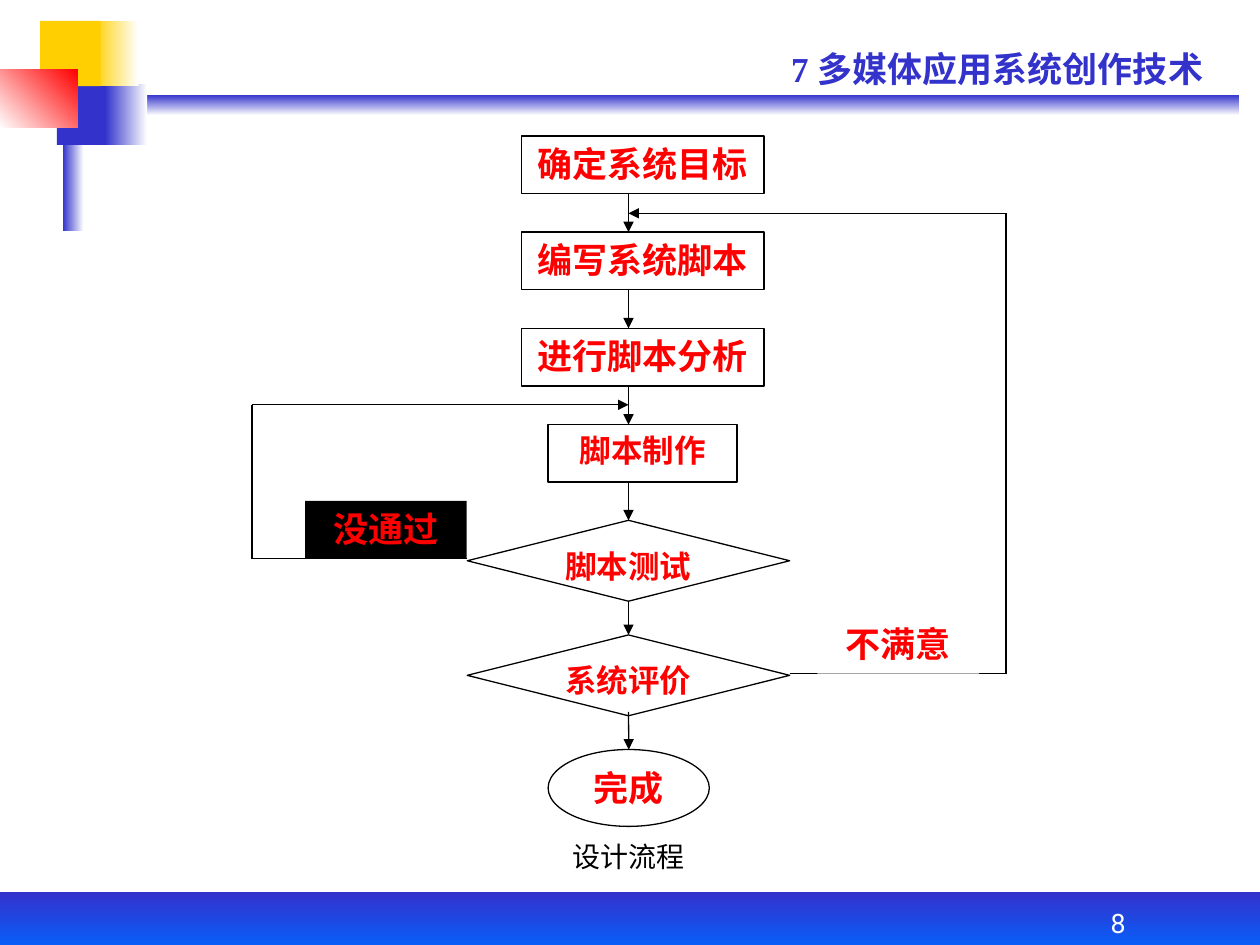
from lxml.etree import SubElement
from pptx import Presentation
from pptx.dml.color import RGBColor
from pptx.enum.shapes import MSO_CONNECTOR, MSO_SHAPE
from pptx.enum.text import MSO_ANCHOR, PP_ALIGN
from pptx.oxml.ns import qn
from pptx.util import Cm, Pt

BLUE = RGBColor(0x33, 0x33, 0xCC)
BRIGHT_BLUE = RGBColor(0x00, 0x66, 0xFF)
YELLOW = RGBColor(0xFF, 0xCF, 0x01)
RED = RGBColor(0xFF, 0x00, 0x00)
WHITE = RGBColor(0xFF, 0xFF, 0xFF)
BLACK = RGBColor(0x00, 0x00, 0x00)
CJK_FONT = "Noto Sans CJK SC"


def write_text(box, text, size, color, font=CJK_FONT, bold=True,
               align=PP_ALIGN.CENTER, anchor=MSO_ANCHOR.TOP):
    frame = box.text_frame
    frame.word_wrap = True
    frame.vertical_anchor = anchor
    paragraph = frame.paragraphs[0]
    paragraph.text = text
    paragraph.alignment = align
    paragraph.font.name = font
    paragraph.font.size = Pt(size)
    paragraph.font.bold = bold
    paragraph.font.color.rgb = color
    # East Asian characters take their own typeface
    properties = paragraph.font._element
    SubElement(properties, qn("a:ea")).set("typeface", CJK_FONT)


def add_line(x1, y1, x2, y2, arrow=False):
    line = page.shapes.add_connector(
        MSO_CONNECTOR.STRAIGHT, Cm(x1), Cm(y1), Cm(x2), Cm(y2))
    line.line.color.rgb = BLACK
    line.line.width = Pt(0.75)
    if arrow:
        SubElement(line.line._get_or_add_ln(), qn("a:tailEnd")).set("type", "triangle")
    SubElement(line._element.spPr, qn("a:effectLst"))
    return line


deck = Presentation()
deck.slide_width, deck.slide_height = Cm(25.4), Cm(19.05)
page = deck.slides.add_slide(deck.slide_layouts[6])

# Decoration: left, top, width, height, colours, clockwise gradient angle
decorations = [
    (1.47, 1.91, 23.5, 0.42, (BLUE, WHITE), 90),
    (2.12, 1.69, 0.85, 1.23, (BLUE, WHITE), 0),
    (0, 17.99, 25.4, 1.27, (BLUE, BRIGHT_BLUE), 90),
    (1.27, 1.48, 0.42, 3.18, (BLUE, WHITE), 0),
    (1.15, 1.69, 0.97, 1.23, (BLUE,), 0),
    (1.88, 0.42, 0.91, 1.32, (YELLOW, WHITE), 0),
    (0.81, 0.42, 1.22, 1.32, (YELLOW,), 0),
    (0, 1.4, 1.56, 1.18, (WHITE, RED), 315),
]
for left, top, width, height, colors, angle in decorations:
    block = page.shapes.add_shape(
        MSO_SHAPE.RECTANGLE, Cm(left), Cm(top), Cm(width), Cm(height))
    block.shadow.inherit = False
    block.line.fill.background()
    if len(colors) == 1:
        block.fill.solid()
        block.fill.fore_color.rgb = colors[0]
    else:
        block.fill.gradient()
        block.fill.gradient_angle = (360 - angle) % 360
        for stop, color in zip(block.fill.gradient_stops, colors):
            stop.color.rgb = color

# Chapter title and page number
title = page.shapes.add_textbox(Cm(15.7), Cm(0.84), Cm(9.07), Cm(1.12))
write_text(title, "7 多媒体应用系统创作技术", 20, BLUE,
           font="Times New Roman", align=PP_ALIGN.LEFT)
number = page.shapes.add_textbox(Cm(20.53), Cm(17.99), Cm(4.02), Cm(1.06))
write_text(number, "8", 15.3, WHITE, font="Roboto", bold=False,
           anchor=MSO_ANCHOR.BOTTOM)

# Flow steps: shape, left, top, width, height, text, size
AXIS = 12.67
PROCESS, DECISION = MSO_SHAPE.FLOWCHART_PROCESS, MSO_SHAPE.FLOWCHART_DECISION
steps = [
    (PROCESS, 10.52, 2.74, 4.88, 1.16, "确定系统目标", 20),
    (PROCESS, 10.52, 4.68, 4.88, 1.16, "编写系统脚本", 20),
    (PROCESS, 10.52, 6.62, 4.88, 1.16, "进行脚本分析", 20),
    (PROCESS, 11.05, 8.56, 3.81, 1.16, "脚本制作", 18),
    (DECISION, 9.42, 10.49, 6.5, 1.63, "脚本测试", 18),
    (DECISION, 9.42, 12.8, 6.5, 1.63, "系统评价", 18),
    (MSO_SHAPE.OVAL, 11.05, 15.11, 3.25, 1.55, "完成", 20),
]
boxes = []
for kind, left, top, width, height, text, size in steps:
    box = page.shapes.add_shape(kind, Cm(left), Cm(top), Cm(width), Cm(height))
    box.shadow.inherit = False
    box.fill.solid()
    box.fill.fore_color.rgb = WHITE
    box.line.color.rgb = BLACK
    box.line.width = Pt(0.75)
    write_text(box, text, size, RED)
    boxes.append(box)

# Arrows down the axis; the lower shapes are centred on it
arrow_starts = [3.9, 5.84, 7.78, 9.72, 12.12, 14.35]
for index, start in enumerate(arrow_starts, 1):
    arrow = add_line(AXIS, start, AXIS, steps[index][2], arrow=True)
    if index >= 4:
        arrow.end_connect(boxes[index], 0)
    if index == 5:
        arrow.begin_connect(boxes[4], 2)

# Return loops: decision side, outer edge, decision height, re-entry height
for side, edge, low, high in [(9.42, 5.08, 11.26, 8.16), (15.92, 20.28, 13.58, 4.3)]:
    add_line(side, low, edge, low)
    add_line(edge, low, edge, high)
    add_line(edge, high, AXIS, high, arrow=True)

# Loop labels
for left, top, text, color in [(6.15, 10.1, "没通过", BLACK), (16.48, 12.42, "不满意", WHITE)]:
    label = page.shapes.add_shape(
        MSO_SHAPE.RECTANGLE, Cm(left), Cm(top), Cm(3.26), Cm(1.16))
    label.shadow.inherit = False
    label.fill.solid()
    label.fill.fore_color.rgb = color
    label.line.fill.background()
    write_text(label, text, 20, RED)

# Caption
caption = page.shapes.add_textbox(Cm(10.54), Cm(16.92), Cm(4.27), Cm(1.04))
frame = caption.text_frame
frame.margin_left = frame.margin_right = frame.margin_top = frame.margin_bottom = 0
write_text(caption, "设计流程", 16, BLACK, font="Times New Roman", bold=False)

deck.save("out.pptx")
